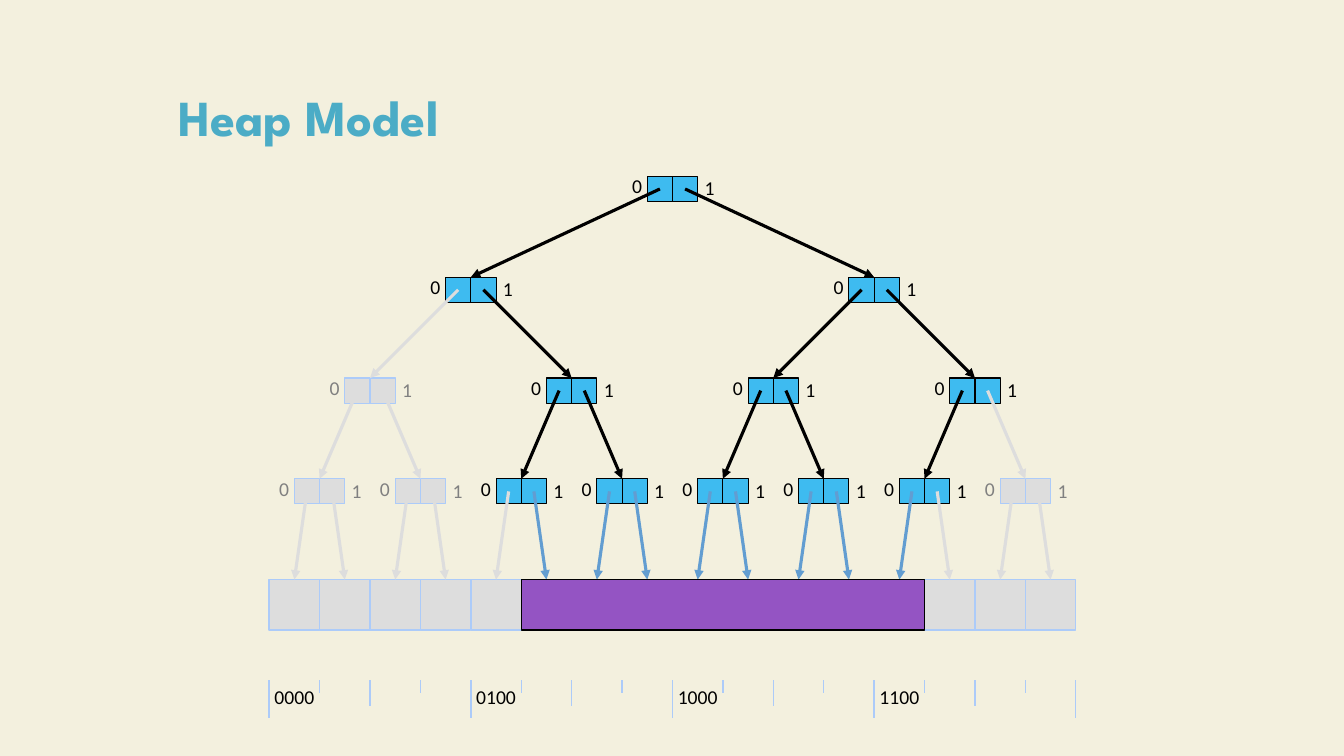
"""Build the heap model slide: a binary tree of slots above a row of memory cells."""
from dataclasses import dataclass

from pptx import Presentation
from pptx import util as u
from pptx.dml.color import RGBColor
from pptx.enum import shapes, text
from pptx.oxml.ns import qn
from lxml import etree

COLUMN, ROW, LEFT = 0.5, 0.25, 2.67
CELLS, LEVELS = 16, 4
BUSY = range(5, 13)
TREE_ROW, LEVEL_ROWS, MEMORY_ROW, RULER_ROW = 7, 4, 23, 27
BLACK, GREY, PALE_BLUE, SKY = "000000", "DDDDDD", "ACCBF9", "3EBBF0"
LEAF_BLUE, PURPLE, DIM_TEXT = "629DD1", "9454C3", "808080"


@dataclass(frozen=True)
class Node:
    """A tree node that covers an equal share of the memory cells."""
    level: int
    index: int

    @property
    def span(self) -> int:
        """Return how many cells the node covers."""
        return CELLS // 2 ** self.level

    @property
    def middle(self) -> float:
        """Return the column of the node's centre."""
        return (self.index + 0.5) * self.span

    @property
    def row(self) -> int:
        """Return the row of the node's top edge."""
        return TREE_ROW + LEVEL_ROWS * self.level

    @property
    def live(self) -> bool:
        """Tell whether any covered cell is busy."""
        first = self.index * self.span
        return any(cell in BUSY for cell in range(first, first + self.span))

    def child(self, side: int) -> "Node":
        """Return the child on side 0 or 1."""
        return Node(self.level + 1, 2 * self.index + side)


def colour(code: str) -> RGBColor:
    """Turn a hex string into a colour."""
    return RGBColor.from_string(code)


def across(column: float) -> int:
    """Return the horizontal position of a grid column."""
    return u.Inches(LEFT + column * COLUMN)


def down(row: float) -> int:
    """Return the vertical position of a grid row."""
    return u.Inches(row * ROW)


def write(para, words: str, font: str, size: int, code: str, bold: bool = False) -> None:
    """Add one formatted run to a paragraph."""
    span = para.add_run()
    span.text = words
    span.font.name, span.font.size, span.font.bold = font, u.Pt(size), bold
    span.font.color.rgb = colour(code)


def add_block(page, column: float, row: float, columns: float, rows: float,
              fill: str, edge: str, weight: float):
    """Draw a filled rectangle on the grid."""
    block = page.shapes.add_shape(shapes.MSO_SHAPE.RECTANGLE, across(column), down(row),
                                  u.Inches(columns * COLUMN), down(rows))
    block.shadow.inherit = False
    block.fill.solid()
    block.fill.fore_color.rgb = colour(fill)
    block.line.color.rgb = colour(edge)
    block.line.width = u.Pt(weight)
    return block


def add_line(page, start: tuple[float, float], end: tuple[float, float],
             code: str, weight: float, arrow: bool = False):
    """Draw a straight line between two grid points."""
    line = page.shapes.add_connector(shapes.MSO_CONNECTOR.STRAIGHT, across(start[0]),
                                     down(start[1]), across(end[0]), down(end[1]))
    line.line.color.rgb = colour(code)
    line.line.width = u.Pt(weight)
    if arrow:
        etree.SubElement(line.line._get_or_add_ln(), qn("a:tailEnd"), type="triangle")
    etree.SubElement(line._element.spPr, qn("a:effectLst"))
    return line


def add_label(page, words: str, column: float, row: float, columns: float,
              code: str = BLACK, centred: bool = False) -> None:
    """Write a short label on the grid."""
    box = page.shapes.add_textbox(across(column), down(row),
                                  u.Inches(columns * COLUMN), down(1.32))
    box.text_frame.word_wrap = centred
    box.text_frame.auto_size = text.MSO_AUTO_SIZE.SHAPE_TO_FIT_TEXT
    para = box.text_frame.paragraphs[0]
    if centred:
        para.alignment = text.PP_ALIGN.CENTER
    write(para, words, "Calibri", 14, code)


def add_node(page, node: Node) -> None:
    """Draw a node's two slots and their digits."""
    fill, edge, ink = (SKY, BLACK, BLACK) if node.live else (GREY, PALE_BLUE, DIM_TEXT)
    for side in range(2):
        add_block(page, node.middle + (side - 1) / 2, node.row, 0.5, 1, fill, edge, 0.75)
    add_label(page, "0", node.middle - 1, node.row - 0.28, 0.62, ink)
    add_label(page, "1", node.middle + 0.44, node.row - 0.2, 0.62, ink)


def add_branches(page, node: Node, cells: list) -> None:
    """Draw the arrows from a node's slots to its children or cells."""
    for side in range(2):
        child = node.child(side)
        is_cell = child.level == LEVELS
        code = GREY if not child.live else LEAF_BLUE if is_cell else BLACK
        arrow = add_line(page, (node.middle + (side - 0.5) / 2, node.row + 0.5),
                         (child.middle, child.row), code, 2.25, arrow=True)
        if is_cell:
            arrow.end_connect(cells[child.index], 0)


def add_ruler(page) -> None:
    """Draw the address ruler with a binary label at each long tick."""
    for tick in range(CELLS + 1):
        rows = 1.5 if tick % 4 == 0 else 1 if tick % 2 == 0 else 0.5
        add_line(page, (tick, RULER_ROW), (tick, RULER_ROW + rows), PALE_BLUE, 1)
    for address in range(0, CELLS, 4):
        add_label(page, f"{address:04b}", address - 0.25, RULER_ROW, 1.5, centred=True)


def add_title(page, deck) -> None:
    """Place and format the slide title."""
    title = page.shapes.title
    title.left, title.top = int(deck.slide_width * 0.125), u.Inches(0.03)
    title.width, title.height = int(deck.slide_width * 0.755), u.Inches(1.48)
    frame = title.text_frame
    frame.word_wrap = True
    frame.auto_size = text.MSO_AUTO_SIZE.NONE
    frame.vertical_anchor = text.MSO_ANCHOR.BOTTOM
    para = frame.paragraphs[0]
    para.alignment = text.PP_ALIGN.LEFT
    para.line_spacing = 0.9
    write(para, "Heap Model", "League Spartan", 36, "4BACC6", bold=True)


def main() -> None:
    """Build and save the deck."""
    deck = Presentation()
    deck.slide_width, deck.slide_height = u.Inches(13.33), u.Inches(7.5)
    page = deck.slides.add_slide(deck.slide_layouts[5])
    page.background.fill.solid()
    page.background.fill.fore_color.rgb = colour("F3F0DE")
    add_title(page, deck)
    cells = [add_block(page, cell, MEMORY_ROW, 1, 2, GREY, PALE_BLUE, 1)
             for cell in range(CELLS)]
    nodes = [Node(level, index) for level in range(LEVELS) for index in range(2 ** level)]
    for node in nodes:
        add_node(page, node)
    for node in nodes:
        add_branches(page, node, cells)
    add_block(page, BUSY.start, MEMORY_ROW, len(BUSY), 2, PURPLE, BLACK, 1)
    add_ruler(page)
    deck.save("out.pptx")


if __name__ == "__main__":
    main()
